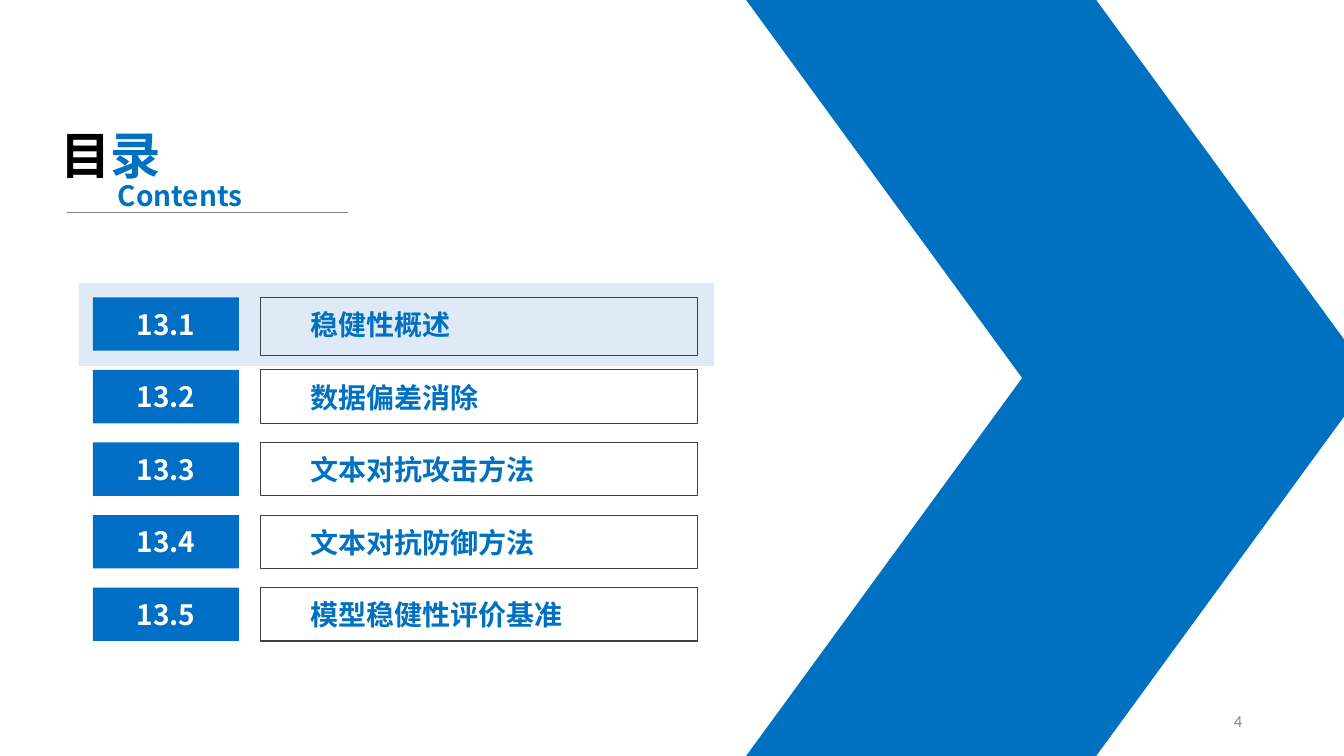
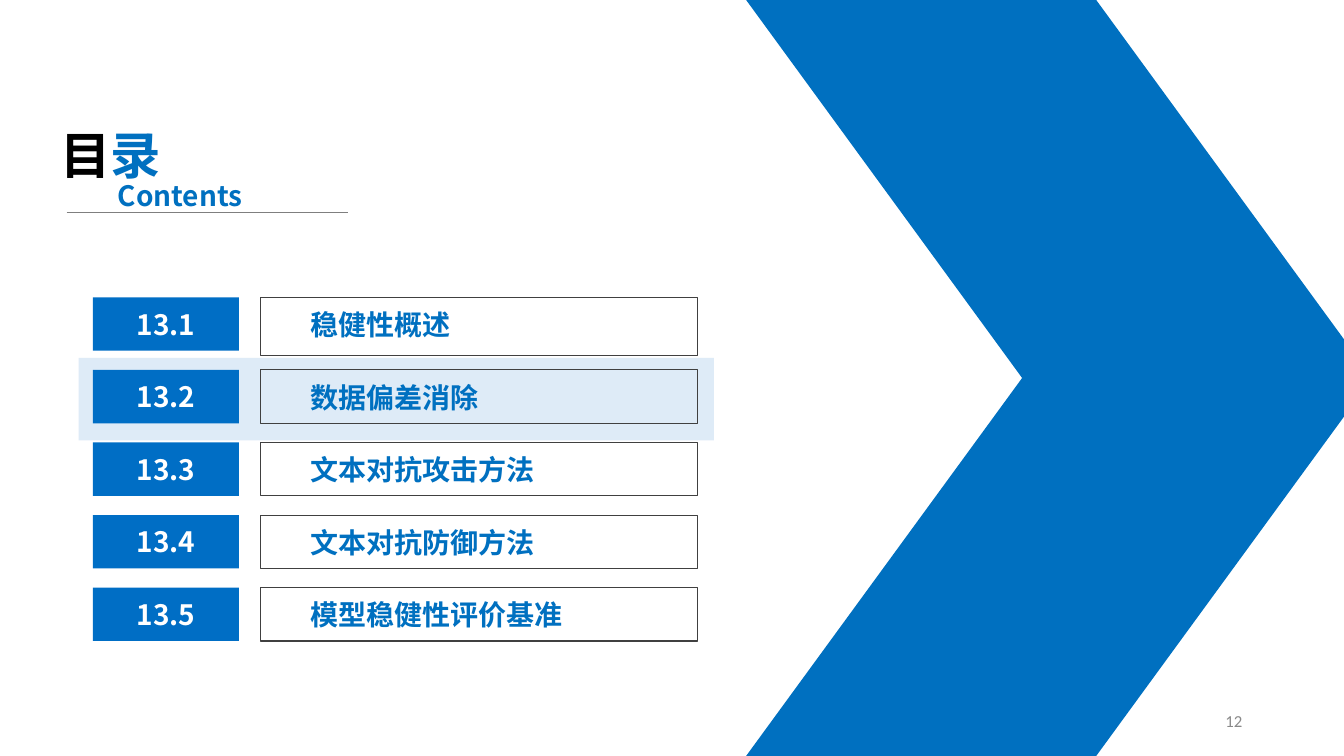
from dataclasses import dataclass

from lxml.etree import SubElement
from pptx import Presentation
from pptx.dml.color import RGBColor
from pptx.enum.shapes import MSO_CONNECTOR as Connector, MSO_SHAPE as Shape
from pptx.enum.text import MSO_ANCHOR as Anchor, PP_ALIGN as Align
from pptx.oxml.ns import qn
from pptx.util import Inches, Pt

# Shared colours and fonts
BLUE = RGBColor(0x00, 0x70, 0xC0)
NUMBER_BLUE = RGBColor(0x00, 0x6E, 0xC5)
PALE_BLUE = RGBColor(0xDE, 0xEB, 0xF7)
BLACK = RGBColor(0x00, 0x00, 0x00)
WHITE = RGBColor(0xFF, 0xFF, 0xFF)
OUTLINE = RGBColor(0x40, 0x40, 0x40)
RULE_GRAY = RGBColor(0x7F, 0x7F, 0x7F)
PAGE_GRAY = RGBColor(0x89, 0x89, 0x89)
HEADING_FONT = "Noto Sans CJK SC"
PAGE_FONT = "Calibri"

# Grid of contents rows
FIRST_ROW_TOP = 2.95
ROW_PITCH = 0.72
ROW_HEIGHT = 0.53


@dataclass(frozen=True)
class Section:
    number: str
    title: str
    frame_height: float = ROW_HEIGHT


@dataclass(frozen=True)
class ContentsPage:
    page_number: int
    highlight_top: float


SECTIONS = [
    Section("13.1", "稳健性概述", 0.58),
    Section("13.2", "数据偏差消除"),
    Section("13.3", "文本对抗攻击方法"),
    Section("13.4", "文本对抗防御方法"),
    Section("13.5", "模型稳健性评价基准"),
]
PAGES = [ContentsPage(4, 2.81), ContentsPage(12, 3.55)]


def format_run(run, size: float, color: RGBColor, name: str = HEADING_FONT,
               bold: bool = True) -> None:
    font = run.font
    font.size, font.bold, font.name = Pt(size), bold, name
    font.color.rgb = color
    latin = run._r.rPr.find(qn("a:latin"))
    east_asian = SubElement(run._r.rPr, qn("a:ea"))
    east_asian.set("typeface", name)
    latin.addnext(east_asian)


def add_block(slide, kind: Shape, left: float, top: float, width: float,
              height: float, fill: RGBColor | None = None):
    """Add a shape with a plain fill, or an outline when there is no fill."""
    block = slide.shapes.add_shape(
        kind, Inches(left), Inches(top), Inches(width), Inches(height))
    block.shadow.inherit = False
    if fill is None:
        block.fill.background()
        block.line.color.rgb = OUTLINE
        block.line.width = Pt(0.75)
    else:
        block.fill.solid()
        block.fill.fore_color.rgb = fill
        block.line.fill.background()
    return block


def add_text(slide, left: float, top: float, width: float, height: float):
    frame = slide.shapes.add_textbox(
        Inches(left), Inches(top), Inches(width), Inches(height)).text_frame
    frame.word_wrap = True
    return frame


def add_chevron(slide) -> None:
    for top, flipped in ((3.75, False), (0, True)):
        half = add_block(slide, Shape.PARALLELOGRAM, 7.4, top, 6.21, 3.75, BLUE)
        half.adjustments[0] = 0.73
        if flipped:
            half._element.spPr.xfrm.set("flipV", "1")


def add_heading(slide) -> None:
    title = add_text(slide, 0.5, 1.18, 1.57, 0.71).paragraphs[0]
    for character, color in (("目", BLACK), ("录", BLUE)):
        run = title.add_run()
        run.text = character
        format_run(run, 36, color)

    rule = slide.shapes.add_connector(
        Connector.STRAIGHT, Inches(0.66), Inches(2.11), Inches(3.45), Inches(2.11))
    rule.line.color.rgb = RULE_GRAY
    rule.line.width = Pt(0.5)
    SubElement(rule._element.spPr, qn("a:effectLst"))

    subtitle = add_text(slide, 1.07, 1.72, 1.57, 0.44)
    subtitle.text = "Contents"
    format_run(subtitle.paragraphs[0].runs[0], 20, BLUE)


def add_section(slide, section: Section, top: float) -> None:
    # Outlined title
    frame = add_block(slide, Shape.RECTANGLE, 2.58, top, 4.34,
                      section.frame_height).text_frame
    frame.text = section.title
    frame.vertical_anchor = Anchor.TOP
    frame.margin_left, frame.margin_top = Inches(0.5), Inches(0.1)
    frame.paragraphs[0].alignment = Align.LEFT
    format_run(frame.paragraphs[0].runs[0], 20, BLUE)

    # Filled number
    number = add_block(slide, Shape.RECTANGLE, 0.92, top, 1.45, ROW_HEIGHT,
                       NUMBER_BLUE).text_frame
    number.text = section.number
    number.vertical_anchor = Anchor.MIDDLE
    number.paragraphs[0].alignment = Align.CENTER
    format_run(number.paragraphs[0].runs[0], 20, WHITE)


def add_page_number(slide, page_number: int) -> None:
    footer = add_text(slide, 9.42, 6.95, 3, 0.4)
    footer.text = str(page_number)
    footer.vertical_anchor = Anchor.MIDDLE
    footer.paragraphs[0].alignment = Align.RIGHT
    format_run(footer.paragraphs[0].runs[0], 12, PAGE_GRAY, PAGE_FONT, bold=False)


def add_contents_slide(deck, page: ContentsPage) -> None:
    slide = deck.slides.add_slide(deck.slide_layouts[6])
    add_block(slide, Shape.RECTANGLE, 0.78, page.highlight_top, 6.3, 0.82, PALE_BLUE)
    add_chevron(slide)
    add_heading(slide)
    for row, section in enumerate(SECTIONS):
        add_section(slide, section, FIRST_ROW_TOP + row * ROW_PITCH)
    add_page_number(slide, page.page_number)


def main() -> None:
    deck = Presentation()
    deck.slide_width, deck.slide_height = Inches(13.33), Inches(7.5)
    for page in PAGES:
        add_contents_slide(deck, page)
    deck.save("out.pptx")


if __name__ == "__main__":
    main()
